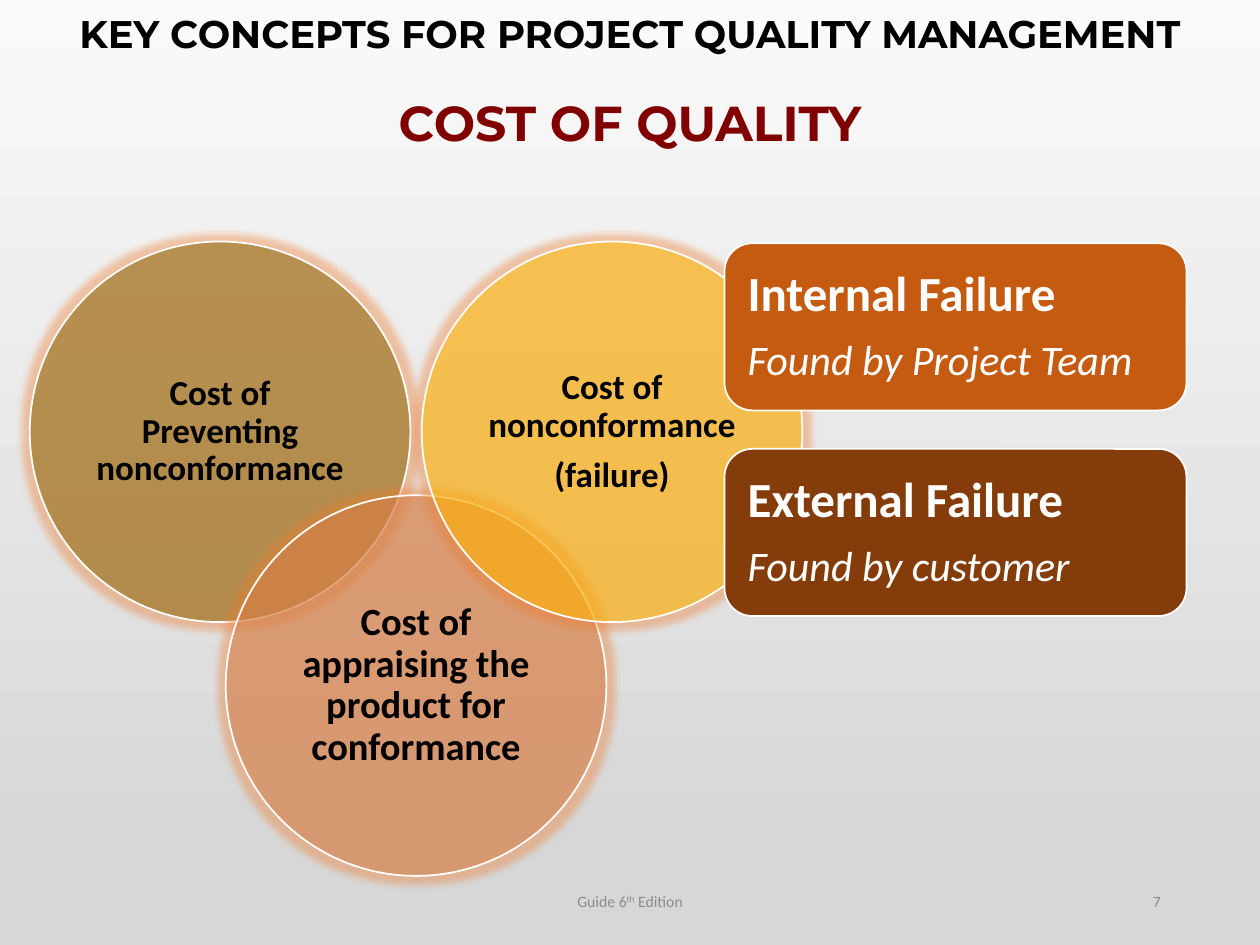
import pptx
import pptx.dml.color
import pptx.enum.shapes
import pptx.enum.text
import pptx.oxml
import pptx.oxml.ns
import pptx.util

Pt = pptx.util.Pt
RGB = pptx.dml.color.RGBColor
ALIGN = pptx.enum.text.PP_ALIGN
KIND = pptx.enum.shapes.MSO_SHAPE

BLACK = RGB(0x00, 0x00, 0x00)
WHITE = RGB(0xFF, 0xFF, 0xFF)
MAROON = RGB(0x80, 0x00, 0x00)
GRAY = RGB(0x8C, 0x8C, 0x8C)
PALE = RGB(0xFA, 0xFA, 0xFA)
SILVER = RGB(0xD7, 0xD7, 0xD7)
OLIVE = RGB(0x80, 0x60, 0x00)
CLAY = RGB(0xCF, 0x7F, 0x4E)
GOLD = RGB(0xFF, 0xC0, 0x00)
RUST = RGB(0xC5, 0x5A, 0x11)
BROWN = RGB(0x84, 0x3C, 0x0B)
GLOW = RGB(0xED, 0x7D, 0x31)

TITLE = [("KEY CONCEPTS FOR PROJECT QUALITY MANAGEMENT", 22, BLACK),
         ("COST OF QUALITY", 28, MAROON)]
COSTS = [(OLIVE, 20, 0, ["Cost of Preventing nonconformance"]),
         (CLAY, 22, 1, ["Cost of appraising the product for conformance"]),
         (GOLD, 20, 0, ["Cost of nonconformance", "(failure)"])]
FAILS = [(RUST, "Internal Failure", "Found by Project Team"),
         (BROWN, "External Failure", "Found by customer")]
NOTES = [(238.5, 243, ALIGN.CENTER, [("Guide 6", 0), ("th", 30), (" Edition", 0)]),
         (508.5, 162, ALIGN.RIGHT, [("7", 0)])]

LEFT, TOP, SIZE = 17, 138, 217.5
STEP, DROP = 112, 145
BOX_X, BOX_Y, BOX_W, BOX_H, BOX_GAP = 414, 139, 264, 95.5, 22


def place(shape, x, y, w, h):
    shape.left, shape.top, shape.width, shape.height = Pt(x), Pt(y), Pt(w), Pt(h)


def write(para, text, size, color, face="Calibri", bold=False, slant=False):
    run = para.add_run()
    run.text = text
    font = run.font
    font.name, font.size, font.bold, font.italic = face, Pt(size), bold, slant
    font.color.rgb = color
    return run


def setup(frame, inset=None):
    frame.word_wrap = True
    frame.auto_size = pptx.enum.text.MSO_AUTO_SIZE.NONE
    frame.vertical_anchor = pptx.enum.text.MSO_ANCHOR.MIDDLE
    if inset is not None:
        frame.margin_left = frame.margin_right = Pt(inset)
        frame.margin_top = frame.margin_bottom = Pt(inset)


def lines(frame, count, align, gap=0):
    for i in range(count):
        para = frame.paragraphs[0] if i == 0 else frame.add_paragraph()
        para.alignment, para.line_spacing = align, 0.9
        para.space_before = Pt(0)
        para.space_after = Pt(gap if i < count - 1 else 0)
        yield para


def draw(slide, kind, x, y, w, h, color, inset):
    shape = slide.shapes.add_shape(kind, Pt(x), Pt(y), Pt(w), Pt(h))
    shape.shadow.inherit = False
    shape.fill.solid()
    shape.fill.fore_color.rgb = color
    shape.line.color.rgb = WHITE
    shape.line.width = Pt(1)
    setup(shape.text_frame, inset)
    return shape


def soften(shape):
    ns = pptx.oxml.ns.nsdecls("a")
    props = shape.fill._xPr
    tone = props.find(pptx.oxml.ns.qn("a:solidFill"))[0]
    tone.append(pptx.oxml.parse_xml(f'<a:alpha {ns} val="50000"/>'))
    props.find(pptx.oxml.ns.qn("a:effectLst")).append(pptx.oxml.parse_xml(
        f'<a:glow {ns} rad="{Pt(8)}"><a:srgbClr val="{GLOW}">'
        '<a:alpha val="40000"/></a:srgbClr></a:glow>'))


def main():
    deck = pptx.Presentation()
    deck.slide_width, deck.slide_height = Pt(720), Pt(540)
    slide = deck.slides.add_slide(deck.slide_layouts[5])

    back = slide.background.fill
    back.gradient()
    back.gradient_angle = 270
    for stop, color, at in zip(back.gradient_stops, (PALE, SILVER), (0, 0.89)):
        stop.color.rgb, stop.position = color, at

    head = slide.shapes.title
    place(head, 15, 21, 690, 54)
    setup(head.text_frame)
    paras = lines(head.text_frame, len(TITLE), ALIGN.CENTER, 24)
    for para, (text, size, color) in zip(paras, TITLE):
        write(para, text, size, color, "Montserrat", True)

    for i, (color, size, row, texts) in enumerate(COSTS):
        disc = draw(slide, KIND.OVAL, LEFT + i * STEP, TOP + row * DROP,
                    SIZE, SIZE, color, 5)
        soften(disc)
        paras = lines(disc.text_frame, len(texts), ALIGN.CENTER, 7)
        for para, text in zip(paras, texts):
            write(para, text, size, BLACK, bold=True)

    for i, (color, name, finder) in enumerate(FAILS):
        box = draw(slide, KIND.ROUNDED_RECTANGLE, BOX_X,
                   BOX_Y + i * (BOX_H + BOX_GAP), BOX_W, BOX_H, color, 8.6)
        top, low = lines(box.text_frame, 2, ALIGN.LEFT, 9.8)
        write(top, name, 28, WHITE, bold=True)
        write(low, finder, 24, WHITE, slant=True)

    for x, w, align, parts in NOTES:
        note = slide.shapes.add_textbox(Pt(x), Pt(500.5), Pt(w), Pt(28.75))
        setup(note.text_frame)
        para = note.text_frame.paragraphs[0]
        para.alignment = align
        for text, lift in parts:
            run = write(para, text, 9, GRAY)
            if lift:
                run.font._element.set("baseline", str(lift * 1000))

    deck.save("out.pptx")


if __name__ == "__main__":
    main()
